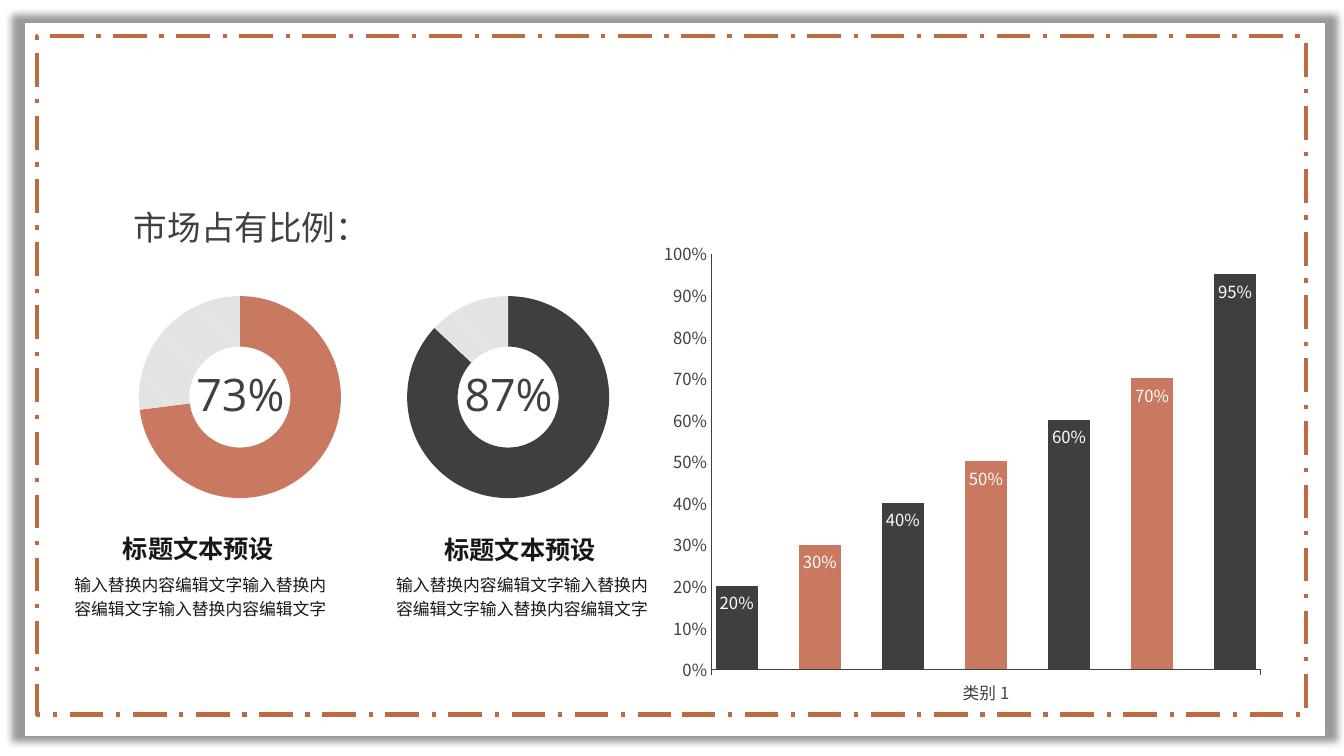
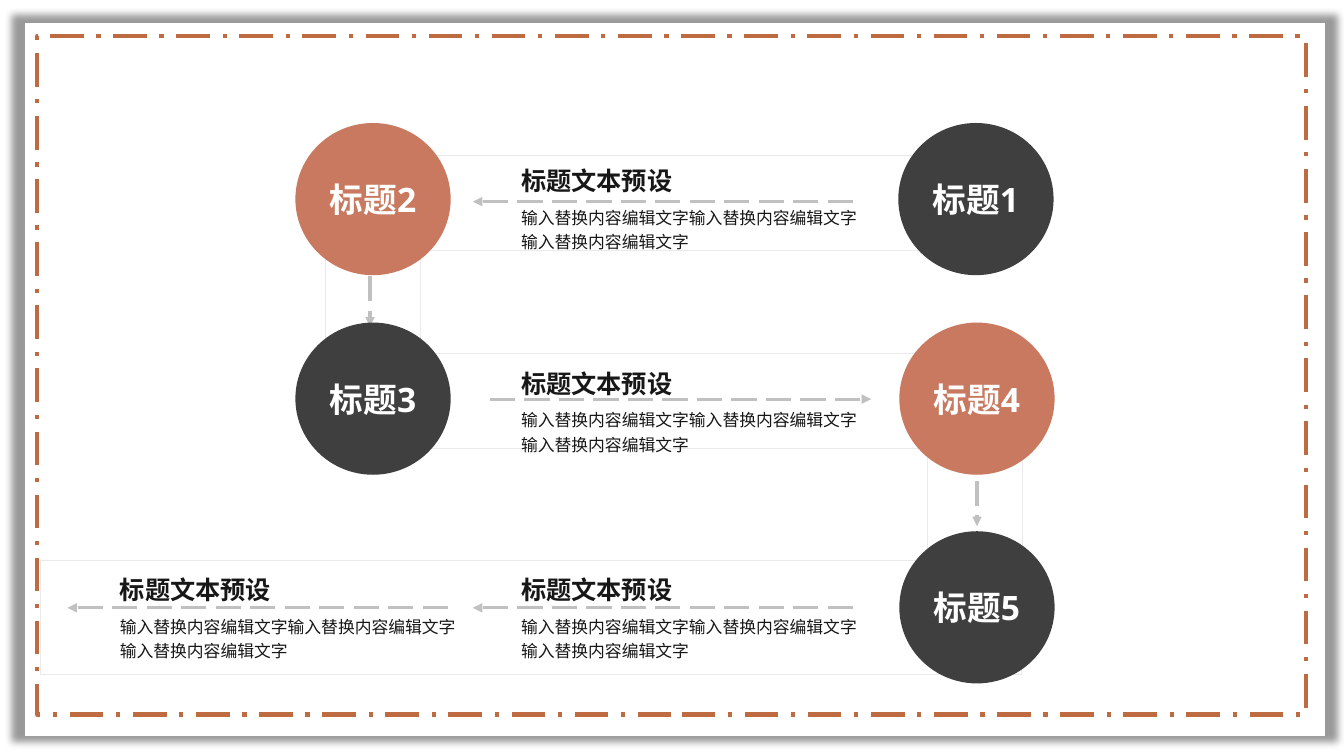
from lxml import etree
from pptx import Presentation
from pptx import util as u
from pptx.chart.data import CategoryChartData
from pptx.dml.color import RGBColor
from pptx.enum import chart as ch, dml, shapes, text
from pptx.oxml import parse_xml
from pptx.oxml.ns import nsdecls, qn

# Shared colours, fonts and wording
CLAY, DARK, FRAME, WHITE = "C87960", "3F3F3F", "BE6B41", "FFFFFF"
INK, SOFT, ARROW, EDGE = "181717", "404040", "C0C0C0", "EAEAEA"
LATIN, CJK = "Open Sans", "Noto Sans CJK SC"
HEADING = "标题文本预设"
BODY = "输入替换内容编辑文字" * 3


def rgb(value):
    return RGBColor.from_string(value)


def inches(*values):
    return [u.Inches(v) for v in values]


def style_font(font, size, color, name=CJK, bold=False):
    font.size, font.name, font.bold = u.Pt(size), name, bold
    font.color.rgb = rgb(color)


def add_run(p, words, size, color, bold=False):
    r = p.add_run()
    r.text = words
    style_font(r.font, size, color, LATIN, bold)
    etree.SubElement(r.font._element, qn("a:ea"), typeface=CJK)


def add_text(s, box, words, size, color, bold=False, wrap=True, inset=(0.1, 0.05),
             spacing=None, align=text.PP_ALIGN.LEFT):
    tf = s.shapes.add_textbox(*inches(*box)).text_frame
    tf.word_wrap = wrap
    tf.margin_left = tf.margin_right = u.Inches(inset[0])
    tf.margin_top = tf.margin_bottom = u.Inches(inset[1])
    p = tf.paragraphs[0]
    p.alignment = align
    if spacing:
        p.line_spacing = spacing
    add_run(p, words, size, color, bold)
    return tf


def add_shape(s, kind, box, fill=None, line=None, width=0.75):
    sp = s.shapes.add_shape(kind, *inches(*box))
    sp.shadow.inherit = False
    if fill:
        sp.fill.solid()
        sp.fill.fore_color.rgb = rgb(fill)
    else:
        sp.fill.background()
    if line:
        sp.line.color.rgb = rgb(line)
        sp.line.width = u.Pt(width)
    else:
        sp.line.fill.background()
    return sp


def add_frame(s, layout):
    """Build the shadowed page and dashed border, then place them on the layout."""
    rect = shapes.MSO_SHAPE.RECTANGLE
    page = add_shape(s, rect, (0.25, 0.23, 12.89, 7.07), WHITE)
    effects = page.element.spPr.find(qn("a:effectLst"))
    effects.append(parse_xml(
        f'<a:outerShdw {nsdecls("a")} blurRad="63500" sx="102000" sy="102000" '
        'algn="ctr" rotWithShape="0"><a:srgbClr val="000000">'
        '<a:alpha val="40000"/></a:srgbClr></a:outerShdw>'))
    border = add_shape(s, rect, (0.37, 0.36, 12.58, 6.73), line=FRAME, width=3)
    border.line.dash_style = dml.MSO_LINE.LONG_DASH_DOT
    for sp in (page, border):
        layout.shapes.element.append(sp.element)


def add_caption(s, left, top, width, gap=0.38):
    """Bold heading with a body paragraph below it."""
    add_text(s, (left, top, width, 0.61), BODY, 12, INK, spacing=1.2)
    add_text(s, (left, top - gap, 2.4, 0.38), HEADING, 18, INK, True, wrap=False)


def add_arrow(s, x1, y1, x2, y2):
    line = s.shapes.add_connector(shapes.MSO_CONNECTOR.STRAIGHT, *inches(x1, y1, x2, y2))
    line.line.color.rgb = rgb(ARROW)
    line.line.width = u.Pt(2.25)
    line.line.dash_style = dml.MSO_LINE.LONG_DASH
    etree.SubElement(line.line._get_or_add_ln(), qn("a:tailEnd"), type="triangle")
    etree.SubElement(line.element.spPr, qn("a:effectLst"))


def add_circle(s, left, top, words, fill):
    sp = add_shape(s, shapes.MSO_SHAPE.OVAL, (left, top, 1.54, 1.51), fill)
    tf = sp.text_frame
    tf.word_wrap = False
    tf.vertical_anchor = text.MSO_ANCHOR.MIDDLE
    tf.paragraphs[0].alignment = text.PP_ALIGN.CENTER
    add_run(tf.paragraphs[0], words, 24, WHITE, True)


def add_chart(s, kind, box, categories, series):
    data = CategoryChartData()
    data.categories = categories
    for i, values in enumerate(series, 1):
        data.add_series(f"Series {i}", values)
    chart = s.shapes.add_chart(kind, *inches(*box), data).chart
    chart.has_legend = chart.has_title = False
    return chart


def add_doughnut(s, left, label_left, share, color):
    chart = add_chart(s, ch.XL_CHART_TYPE.DOUGHNUT, (left, 2.8, 2.9, 2.28),
                      ["1", "2"], [(share, 100 - share)])
    style_font(chart.font, 18, "808080", "Calibri")
    plot = chart.plots[0]
    plot.vary_by_categories = False
    plot._element.find(qn("c:holeSize")).set("val", "82")
    part, rest = (plot.series[0].points[i].format for i in range(2))
    part.fill.solid()
    part.fill.fore_color.rgb = rgb(color)
    rest.fill.patterned()
    rest.fill.pattern = dml.MSO_PATTERN.DARK_DOWNWARD_DIAGONAL
    rest.fill.fore_color.rgb = rgb("D9D9D9")
    rest.fill.back_color.rgb = rgb("E7E6E6")
    for fmt in (part, rest):
        fmt.line.fill.background()
    add_text(s, (label_left, 3.64, 1.17, 0.43), f"{share}%", 32, SOFT,
             inset=(0, 0), align=text.PP_ALIGN.CENTER)


def add_columns(s):
    values = (0.2, 0.3, 0.4, 0.5, 0.6, 0.7, 0.95)
    chart = add_chart(s, ch.XL_CHART_TYPE.COLUMN_CLUSTERED, (6.58, 2.39, 5.93, 6.07),
                      ["类别 1"], [(v,) for v in values])
    style_font(chart.font, 10, WHITE)
    plot = chart.plots[0]
    plot.vary_by_categories = False
    plot.gap_width, plot.overlap = 23, -100

    # Bars alternate between the two main colours
    for i, bars in enumerate(plot.series):
        bars.format.fill.solid()
        bars.format.fill.fore_color.rgb = rgb((DARK, CLAY)[i % 2])
        labels = bars.data_labels
        labels.show_value = True
        labels.position = ch.XL_LABEL_POSITION.INSIDE_END
        labels.number_format, labels.number_format_is_linked = "0%", False
        style_font(labels.font, 11.9, WHITE)

    # Axes
    ticks = ch.XL_TICK_MARK
    for axis, mark in ((chart.category_axis, ticks.OUTSIDE), (chart.value_axis, ticks.NONE)):
        axis.has_major_gridlines = False
        axis.major_tick_mark, axis.minor_tick_mark = mark, ticks.NONE
        axis.format.line.color.rgb = rgb(SOFT)
        axis.format.line.width = u.Pt(0.75)
        style_font(axis.tick_labels.font, 11.9, SOFT)
    scale = chart.value_axis
    scale.minimum_scale, scale.maximum_scale, scale.major_unit = 0, 1, 0.1
    scale.tick_labels.number_format = "0%"
    scale.tick_labels.number_format_is_linked = False

    # Fixed inner plot area
    area = chart._chartSpace.chart.plotArea
    for old in area.findall(qn("c:layout")):
        area.remove(old)
    layout = etree.Element(qn("c:layout"))
    manual = etree.SubElement(layout, qn("c:manualLayout"))
    for tag, val in (("layoutTarget", "inner"), ("xMode", "edge"), ("yMode", "edge"),
                     ("x", "0.08"), ("y", "0.02"), ("w", "0.92"), ("h", "0.68")):
        etree.SubElement(manual, qn(f"c:{tag}"), val=val)
    area.insert(0, layout)


def build_market_slide(s):
    add_doughnut(s, 0.93, 1.8, 73, CLAY)
    add_doughnut(s, 3.59, 4.46, 87, DARK)
    tf = add_text(s, (1.23, 1.75, 2.56, 0.72), "市场占有比例：", 24, SOFT, wrap=False,
                  inset=(0.1, 0), spacing=1.75)
    tf.auto_size = text.MSO_AUTO_SIZE.SHAPE_TO_FIT_TEXT
    add_columns(s)
    # Captions under the doughnuts: the heading is set in from the body
    for left, heading_top in ((0.64, 5.24), (3.83, 5.25)):
        add_text(s, (left, 5.61, 2.77, 0.61), BODY, 12, INK, spacing=1.2)
        add_text(s, (left + 0.48, heading_top, 2.4, 0.38), HEADING, 18, INK, True, wrap=False)


def build_flow_slide(s):
    # Bands linking the circles
    for band in ((0.4, 5.56, 9.73, 1.13), (3.59, 3.51, 6.55, 0.94), (9.2, 3.97, 0.94, 2.59),
                 (4.12, 1.54, 6.01, 0.95), (3.23, 1.53, 0.94, 2.92)):
        add_shape(s, shapes.MSO_SHAPE.RECTANGLE, band, WHITE, EDGE)
    # Direction of flow
    for ends in ((8.46, 2, 4.69, 2), (3.67, 2.74, 3.67, 3.24), (4.86, 3.96, 8.64, 3.96),
                 (9.69, 4.77, 9.69, 5.22), (8.46, 6.03, 4.69, 6.03), (4.44, 6.03, 0.67, 6.03)):
        add_arrow(s, *ends)
    # Numbered stages
    stages = ((8.91, 1.22), (2.93, 1.22), (2.93, 3.2), (8.92, 3.2), (8.92, 5.27))
    for i, (left, top) in enumerate(stages):
        add_circle(s, left, top, f"标题{i + 1}", (DARK, CLAY)[i % 2])
    for left, top in ((5.07, 1.97), (5.07, 3.98), (5.07, 6.03), (1.09, 6.03)):
        add_caption(s, left, top, 3.63)


def main():
    prs = Presentation()
    prs.slide_width, prs.slide_height = inches(13.33, 7.5)
    blank = prs.slide_layouts[6]
    market, flow = (prs.slides.add_slide(blank) for _ in range(2))
    add_frame(market, blank)
    build_market_slide(market)
    build_flow_slide(flow)
    prs.save("out.pptx")


if __name__ == "__main__":
    main()
